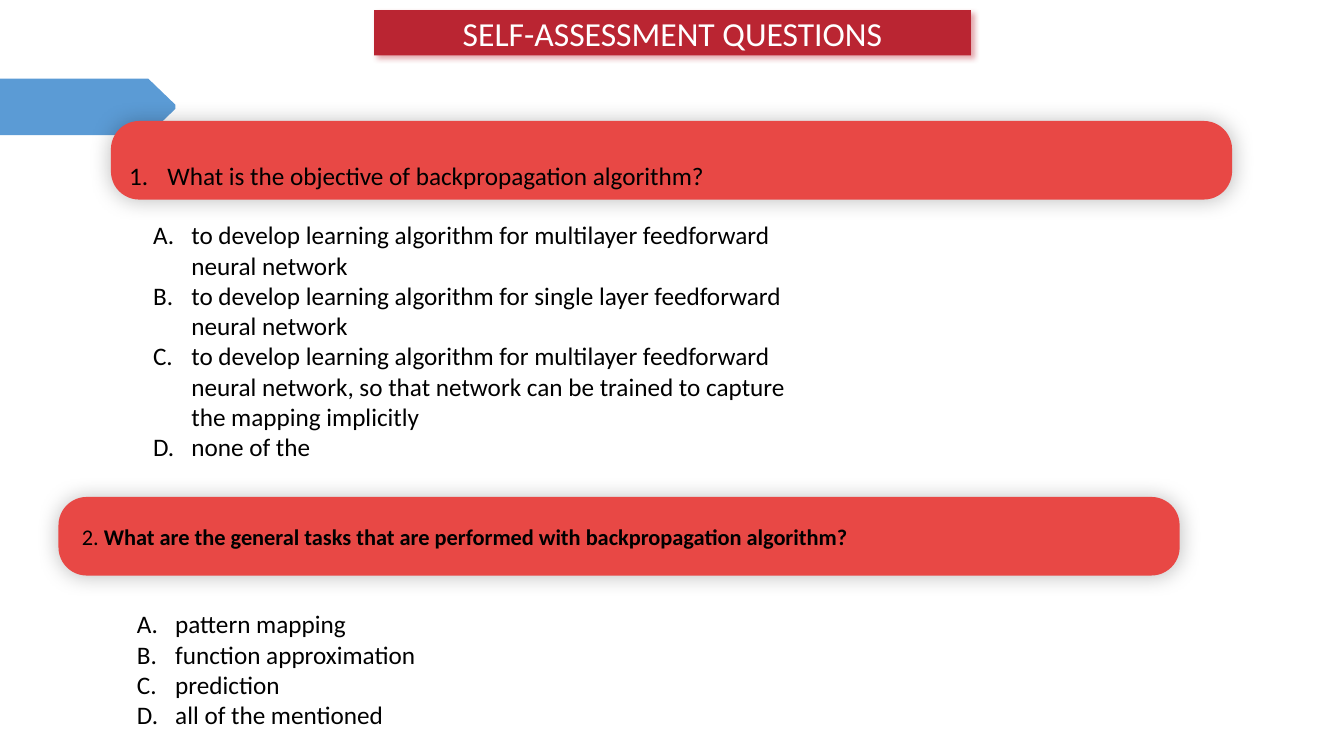
from dataclasses import dataclass

from lxml import etree
from pptx import Presentation
from pptx.dml.color import RGBColor
from pptx.enum.shapes import MSO_SHAPE
from pptx.enum.text import MSO_ANCHOR, MSO_AUTO_SIZE, PP_ALIGN
from pptx.oxml.ns import qn
from pptx.shapes.autoshape import Shape
from pptx.slide import Slide
from pptx.text.text import _Paragraph as Paragraph
from pptx.util import Inches, Pt

ROUNDED = MSO_SHAPE.ROUNDED_RECTANGLE
MIDDLE = MSO_ANCHOR.MIDDLE
LEFT, CENTER = PP_ALIGN.LEFT, PP_ALIGN.CENTER
FIXED_SIZE, FIT_TEXT = MSO_AUTO_SIZE.NONE, MSO_AUTO_SIZE.SHAPE_TO_FIT_TEXT

BLACK = RGBColor(0x00, 0x00, 0x00)
WHITE = RGBColor(0xFF, 0xFF, 0xFF)
BLUE = RGBColor(0x5B, 0x9B, 0xD5)
CRIMSON = RGBColor(0xBA, 0x25, 0x32)
CORAL = RGBColor(0xE8, 0x48, 0x45)

FONT = "Calibri"
HANGING_INDENT = Inches(0.38)
ARROW_OUTLINE = [(0, 0.78), (1.47, 0.78), (1.74, 1.04),
                 (1.74, 1.08), (1.47, 1.34), (0, 1.34)]


@dataclass(frozen=True)
class Shadow:
    color: RGBColor
    opacity: int
    blur: int
    distance: int = 0
    angle: int = 0


@dataclass(frozen=True)
class Phrase:
    text: str
    bold: bool = False


@dataclass(frozen=True)
class Question:
    left: float
    top: float
    left_inset: float
    top_inset: float
    size: int
    phrases: tuple[Phrase, ...]
    numbered: bool
    answers_left: float
    answers_top: float
    answers_height: float
    answers: tuple[str, ...]


TITLE_SHADOW = Shadow(CRIMSON, 40, 4, 3, 45)
QUESTION_SHADOW = Shadow(BLACK, 25, 15)

QUESTIONS = (
    Question(
        1.1, 1.2, 0.1, 0.35, 18,
        (Phrase("What is the objective of backpropagation algorithm?"),), True,
        1.42, 2.13, 2.52,
        ("to develop learning algorithm for multilayer feedforward neural network",
         "to develop learning algorithm for single layer feedforward neural network",
         "to develop learning algorithm for multilayer feedforward neural network, "
         "so that network can be trained to capture the mapping implicitly",
         "none of the"),
    ),
    Question(
        0.58, 4.93, 0.15, 0.05, 16,
        (Phrase("2. "),
         Phrase("What are the general tasks that are performed with "
                "backpropagation algorithm?", bold=True)), False,
        1.26, 5.99, 1.31,
        ("pattern mapping", "function approximation", "prediction",
         "all of the mentioned"),
    ),
)


def paint(shape: Shape, color: RGBColor) -> None:
    shape.shadow.inherit = False
    shape.fill.solid()
    shape.fill.fore_color.rgb = color
    shape.line.fill.background()


def cast_shadow(shape: Shape, shadow: Shadow) -> None:
    effects = shape._element.spPr.find(qn("a:effectLst"))
    outer = etree.SubElement(
        effects, qn("a:outerShdw"), blurRad=str(Pt(shadow.blur)),
        dist=str(Pt(shadow.distance)), dir=str(shadow.angle * 60000),
        algn="ctr", rotWithShape="0")
    color = etree.SubElement(outer, qn("a:srgbClr"), val=str(shadow.color))
    etree.SubElement(color, qn("a:alpha"), val=str(shadow.opacity * 1000))


def add_run(paragraph: Paragraph, phrase: Phrase, size: int, color: RGBColor) -> None:
    run = paragraph.add_run()
    run.text = phrase.text
    run.font.name = FONT
    run.font.size = Pt(size)
    run.font.bold = phrase.bold
    run.font.color.rgb = color


def number_paragraph(paragraph: Paragraph, scheme: str) -> None:
    properties = paragraph._p.get_or_add_pPr()
    properties.set("marL", str(HANGING_INDENT))
    properties.set("indent", str(-HANGING_INDENT))
    etree.SubElement(properties, qn("a:buFont"), typeface=FONT)
    etree.SubElement(properties, qn("a:buAutoNum"), type=scheme)


def add_title(slide: Slide) -> None:
    title = slide.shapes.title
    title.left, title.top = Inches(3.71), Inches(0.1)
    title.width, title.height = Inches(5.92), Inches(0.45)
    properties = title._element.spPr
    geometry = etree.Element(qn("a:prstGeom"), prst="roundRect")
    etree.SubElement(geometry, qn("a:avLst"))
    properties.find(qn("a:xfrm")).addnext(geometry)
    paint(title, CRIMSON)
    cast_shadow(title, TITLE_SHADOW)
    frame = title.text_frame
    frame.auto_size = FIXED_SIZE
    frame.vertical_anchor = MIDDLE
    paragraph = frame.paragraphs[0]
    paragraph.alignment = CENTER
    add_run(paragraph, Phrase("SELF-ASSESSMENT QUESTIONS"), 24, WHITE)


def add_side_arrow(slide: Slide) -> None:
    points = [(Inches(x), Inches(y)) for x, y in ARROW_OUTLINE]
    builder = slide.shapes.build_freeform(*points[0])
    builder.add_line_segments(points[1:], close=True)
    paint(builder.convert_to_shape(), BLUE)


def add_question(slide: Slide, question: Question) -> None:
    bar = slide.shapes.add_shape(
        ROUNDED, Inches(question.left), Inches(question.top),
        Inches(11.12), Inches(0.78))
    bar.adjustments[0] = 0.36
    paint(bar, CORAL)
    cast_shadow(bar, QUESTION_SHADOW)
    frame = bar.text_frame
    frame.word_wrap = True
    frame.vertical_anchor = MIDDLE
    frame.margin_left = Inches(question.left_inset)
    frame.margin_top = Inches(question.top_inset)
    paragraph = frame.paragraphs[0]
    paragraph.alignment = LEFT
    if question.numbered:
        number_paragraph(paragraph, "arabicPeriod")
    for phrase in question.phrases:
        add_run(paragraph, phrase, question.size, BLACK)


def add_answers(slide: Slide, question: Question) -> None:
    box = slide.shapes.add_textbox(
        Inches(question.answers_left), Inches(question.answers_top),
        Inches(6.67), Inches(question.answers_height))
    frame = box.text_frame
    frame.word_wrap = True
    frame.auto_size = FIT_TEXT
    for index, answer in enumerate(question.answers):
        paragraph = frame.add_paragraph() if index else frame.paragraphs[0]
        number_paragraph(paragraph, "alphaUcPeriod")
        add_run(paragraph, Phrase(answer), 18, BLACK)


def main() -> None:
    presentation = Presentation()
    presentation.slide_width = Inches(13.33)
    presentation.slide_height = Inches(7.5)
    slide = presentation.slides.add_slide(presentation.slide_layouts[5])
    add_title(slide)
    add_side_arrow(slide)
    for question in QUESTIONS:
        add_question(slide, question)
        add_answers(slide, question)
    presentation.save("out.pptx")


if __name__ == "__main__":
    main()
